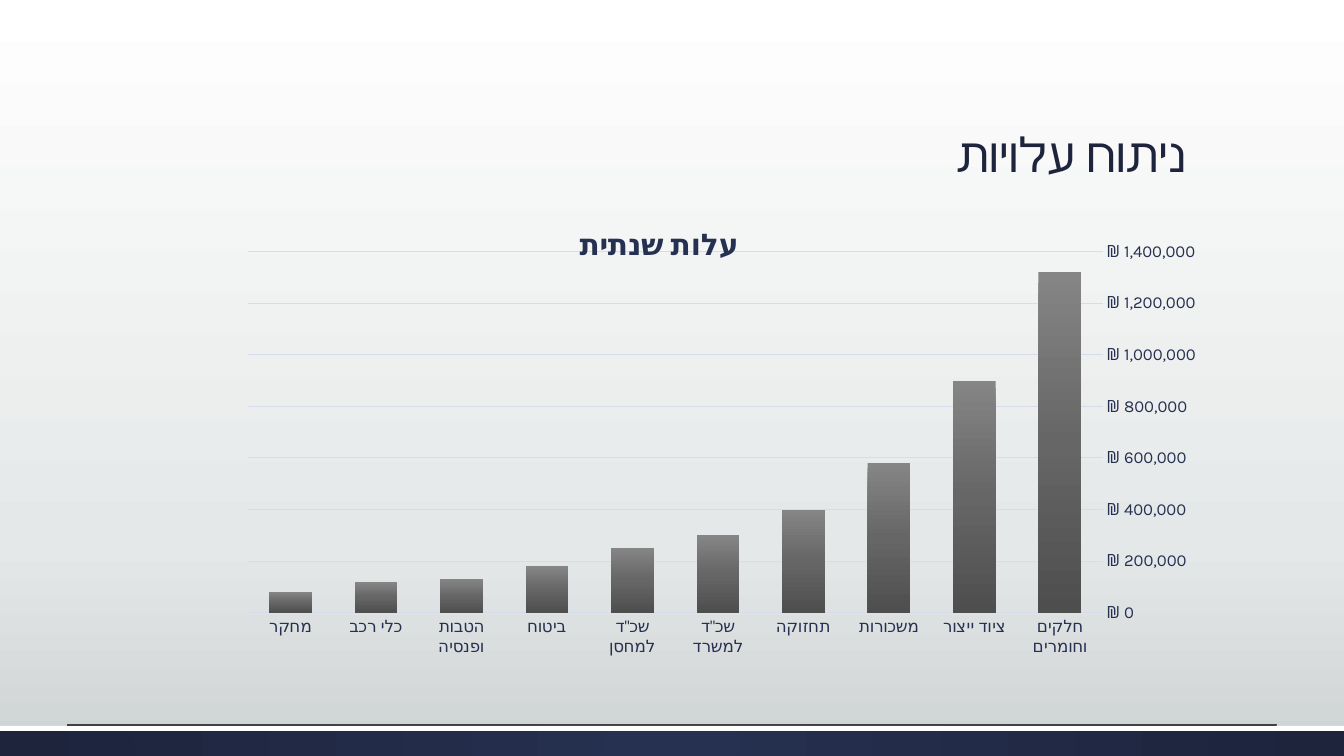
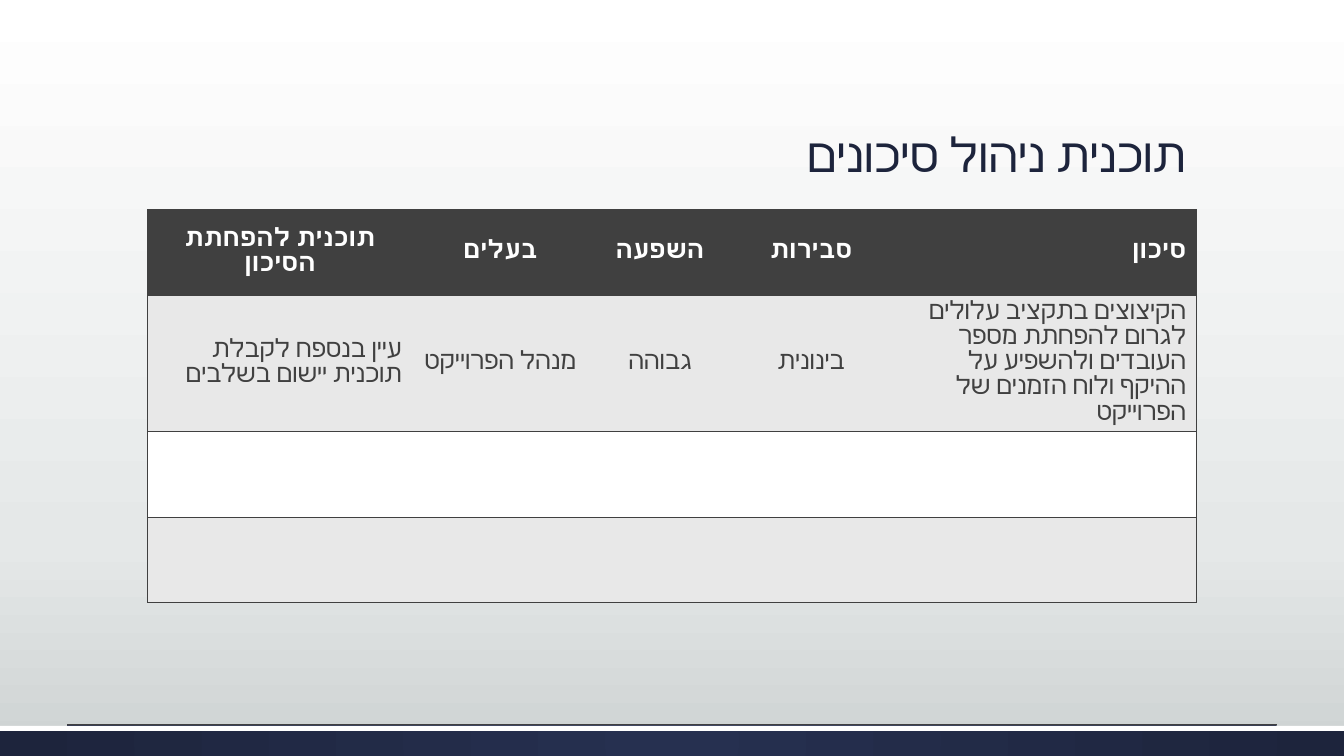
from dataclasses import dataclass

from lxml import etree
from pptx import Presentation
from pptx.chart.data import CategoryChartData
from pptx.dml.color import RGBColor
from pptx.enum.chart import XL_CHART_TYPE, XL_TICK_MARK
from pptx.enum.shapes import MSO_CONNECTOR, MSO_SHAPE
from pptx.enum.text import MSO_ANCHOR, PP_ALIGN
from pptx.oxml.ns import nsdecls, qn
from pptx.util import Inches, Pt

COLUMN_CHART = XL_CHART_TYPE.COLUMN_CLUSTERED
NO_TICK = XL_TICK_MARK.NONE
STRAIGHT = MSO_CONNECTOR.STRAIGHT
RECTANGLE = MSO_SHAPE.RECTANGLE
BOTTOM, MIDDLE = MSO_ANCHOR.BOTTOM, MSO_ANCHOR.MIDDLE
RIGHT, CENTER = PP_ALIGN.RIGHT, PP_ALIGN.CENTER

WIDTH, HEIGHT = 13.33, 7.5
CONTENT_LEFT, CONTENT_WIDTH = 0.11 * WIDTH, 0.78 * WIDTH
TITLE_TOP, TITLE_HEIGHT = 0.51, 1.35
CONTENT_TOP, CHART_HEIGHT = 2.08, 4.51
BAND_TOP = 0.96 * HEIGHT
ROW_HEIGHT, TALL_ROW_HEIGHT, ROW_COUNT = 0.85, 1.35, 4

FONT = "Karla"
NAVY, BLUE, PALE_BLUE = "1D243C", "263050", "D7DCEC"
GRAY, LIGHT_GRAY, WHITE = "404040", "E8E8E8", "FFFFFF"
BACKDROP = [(0, WHITE), (72, "E5E8E8"), (100, "CDD2D2")]
BAND = [(0, BLUE), (100, NAVY)]
BAR = [(0, "858585"), (50, "666666"), (100, "4E4E4E")]

TITLE_TEXT = {"size": Pt(34), "name": FONT, "bold": False}
CHART_TITLE_TEXT = {"size": Pt(21.3), "name": FONT, "bold": True}
AXIS_TEXT = {"size": Pt(12), "name": FONT, "bold": False}
HEADING_TEXT = {"size": Pt(18), "name": FONT, "bold": True}
ENTRY_TEXT = {"size": Pt(18), "name": FONT, "bold": False}


@dataclass(frozen=True)
class Cost:
    label: str
    amount: int


@dataclass(frozen=True)
class RiskColumn:
    width: float
    heading: str
    entry: str
    heading_align: PP_ALIGN = CENTER
    entry_align: PP_ALIGN = CENTER


COSTS = [
    Cost("חלקים וחומרים", 1320000),
    Cost("ציוד ייצור", 900000),
    Cost("משכורות", 580000),
    Cost("תחזוקה", 400000),
    Cost('שכ"ד למשרד', 300000),
    Cost('שכ"ד למחסן', 250000),
    Cost("ביטוח", 180000),
    Cost("הטבות ופנסיה", 130000),
    Cost("כלי רכב", 120000),
    Cost("מחקר", 80000),
]

RISK_COLUMNS = [
    RiskColumn(2.62, "תוכנית להפחתת הסיכון",
               "עיין בנספח לקבלת תוכנית יישום בשלבים", entry_align=RIGHT),
    RiskColumn(1.75, "בעלים", "מנהל הפרוייקט"),
    RiskColumn(1.42, "השפעה", "גבוהה"),
    RiskColumn(1.58, "סבירות", "בינונית"),
    RiskColumn(3.03, "סיכון",
               "הקיצוצים בתקציב עלולים לגרום להפחתת מספר העובדים "
               "ולהשפיע על ההיקף ולוח הזמנים של הפרוייקט", RIGHT, RIGHT),
]


def color(value: str) -> RGBColor:
    return RGBColor.from_string(value)


def style_font(font, settings: dict, ink: str) -> None:
    for name, value in settings.items():
        setattr(font, name, value)
    font.color.rgb = color(ink)
    script_font = etree.SubElement(font._element, qn("a:cs"))
    script_font.set("typeface", FONT)


def write_rtl(paragraph, text: str, align, settings: dict, ink: str) -> None:
    paragraph.alignment = align
    paragraph._p.get_or_add_pPr().set("rtl", "1")
    span = paragraph.add_run()
    span.text = text
    style_font(span.font, settings, ink)


def set_gradient(owner, stops: list, radial: bool = False) -> None:
    marks = "".join(
        f'<a:gs pos="{share * 1000}"><a:srgbClr val="{tone}"/></a:gs>'
        for share, tone in stops)
    direction = '<a:lin ang="5400000" scaled="0"/>'
    if radial:
        direction = ('<a:path path="circle"><a:fillToRect l="50000" t="50000" '
                     'r="50000" b="50000"/></a:path>')
    gradient = etree.fromstring(
        f'<a:gradFill {nsdecls("a")} rotWithShape="1">'
        f'<a:gsLst>{marks}</a:gsLst>{direction}</a:gradFill>')
    solid = next(owner.iter(qn("a:solidFill")))
    solid.getparent().replace(solid, gradient)


def add_band(page, top: float, height: float, tone: str):
    band = page.shapes.add_shape(RECTANGLE, 0, Inches(top), Inches(WIDTH), Inches(height))
    band.shadow.inherit = False
    band.fill.solid()
    band.fill.fore_color.rgb = color(tone)
    band.line.fill.background()
    return band


def add_page(deck, title: str):
    page = deck.slides.add_slide(deck.slide_layouts[6])
    page.background.fill.solid()
    page.background.fill.fore_color.rgb = color(WHITE)
    set_gradient(page._element, BACKDROP)

    band = add_band(page, BAND_TOP, HEIGHT - BAND_TOP, NAVY)
    set_gradient(band._element.spPr, BAND, radial=True)
    add_band(page, BAND_TOP, 0.05, WHITE)
    rule = page.shapes.add_connector(
        STRAIGHT, Inches(0.05 * WIDTH), Inches(BAND_TOP - 0.01),
        Inches(0.95 * WIDTH), Inches(BAND_TOP - 0.01))
    rule.line.color.rgb = color(GRAY)
    rule.line.width = Pt(0.75)
    etree.SubElement(rule._element.spPr, qn("a:effectLst"))

    box = page.shapes.add_textbox(Inches(CONTENT_LEFT), Inches(TITLE_TOP),
                                  Inches(CONTENT_WIDTH), Inches(TITLE_HEIGHT))
    frame = box.text_frame
    frame.word_wrap = True
    frame.vertical_anchor = BOTTOM
    para = frame.paragraphs[0]
    para.line_spacing = 0.9
    write_rtl(para, title, RIGHT, TITLE_TEXT, NAVY)
    return page


def set_layout(owner, position: int, percents: dict, inner: bool = False) -> None:
    for previous in owner.findall(qn("c:layout")):
        owner.remove(previous)
    layout = etree.Element(qn("c:layout"))
    manual = etree.SubElement(layout, qn("c:manualLayout"))
    values = {"layoutTarget": "inner"} if inner else {}
    values |= {"xMode": "edge", "yMode": "edge"}
    values |= {name: str(round(percent / 100, 4)) for name, percent in percents.items()}
    for name, value in values.items():
        etree.SubElement(manual, qn(f"c:{name}")).set("val", value)
    owner.insert(position, layout)


def style_axis(axis) -> None:
    axis.major_tick_mark = NO_TICK
    axis.minor_tick_mark = NO_TICK
    style_font(axis.tick_labels.font, AXIS_TEXT, BLUE)


def style_line(line) -> None:
    line.color.rgb = color(PALE_BLUE)
    line.width = Pt(0.75)


def add_cost_chart(page, name: str, costs: list) -> None:
    data = CategoryChartData()
    data.categories = [cost.label for cost in costs]
    data.add_series(name, [cost.amount for cost in costs])
    chart = page.shapes.add_chart(
        COLUMN_CHART, Inches(CONTENT_LEFT), Inches(CONTENT_TOP),
        Inches(CONTENT_WIDTH), Inches(CHART_HEIGHT), data).chart
    style_font(chart.font, {"size": Pt(10), "name": "Calibri"}, GRAY)
    chart.has_legend = False

    chart.has_title = True
    title = chart.chart_title
    write_rtl(title.text_frame.paragraphs[0], name, CENTER, CHART_TITLE_TEXT, BLUE)
    set_layout(title._element, 1, {"x": 41, "y": 2})
    set_layout(chart._chartSpace.chart.plotArea, 0,
               {"x": 9.6, "y": 9.2, "w": 82.1, "h": 79.5}, inner=True)

    plot = chart.plots[0]
    plot.gap_width = 100
    plot.overlap = -24
    plot.vary_by_categories = False
    series = plot.series[0]
    series.format.fill.solid()
    series.format.fill.fore_color.rgb = color(GRAY)
    set_gradient(series._element, BAR)

    categories, amounts = chart.category_axis, chart.value_axis
    for axis in (categories, amounts):
        style_axis(axis)
    categories.reverse_order = True
    style_line(categories.format.line)
    amounts.minimum_scale = 0
    amounts.maximum_scale = 1400000
    amounts.major_unit = 200000
    amounts.format.line.fill.background()
    style_line(amounts.major_gridlines.format.line)
    amounts.tick_labels.number_format = '"₪"\\ #,##0'
    amounts.tick_labels.number_format_is_linked = False


def set_borders(cell, visible: str) -> None:
    properties = cell._tc.get_or_add_tcPr()
    for position, side in enumerate("LRTB"):
        edge = etree.Element(qn(f"a:ln{side}"), w=str(Pt(1)))
        if side in visible:
            paint = etree.SubElement(edge, qn("a:solidFill"))
            etree.SubElement(paint, qn("a:srgbClr")).set("val", GRAY)
        else:
            etree.SubElement(edge, qn("a:noFill"))
        properties.insert(position, edge)


def write_cell(cell, text: str, align, settings: dict, ink: str) -> None:
    para = cell.text_frame.paragraphs[0]
    para.line_spacing = Pt(18)
    write_rtl(para, text, align, settings, ink)


def add_risk_table(page, columns: list) -> None:
    heights = [TALL_ROW_HEIGHT if row == 1 else ROW_HEIGHT for row in range(ROW_COUNT)]
    table = page.shapes.add_table(
        ROW_COUNT, len(columns), Inches(CONTENT_LEFT), Inches(CONTENT_TOP),
        Inches(CONTENT_WIDTH), Inches(sum(heights))).table
    table.first_row = False
    table.horz_banding = False
    for row, height in zip(table.rows, heights):
        row.height = Inches(height)
    fills = [GRAY, LIGHT_GRAY, WHITE, LIGHT_GRAY]
    for index, column in enumerate(columns):
        table.columns[index].width = Inches(column.width)
        sides = "TB"
        if index == 0:
            sides += "L"
        if index == len(columns) - 1:
            sides += "R"
        for row, tone in enumerate(fills):
            cell = table.cell(row, index)
            cell.vertical_anchor = MIDDLE
            cell.fill.solid()
            cell.fill.fore_color.rgb = color(tone)
            set_borders(cell, sides)
        write_cell(table.cell(0, index), column.heading, column.heading_align,
                   HEADING_TEXT, WHITE)
        write_cell(table.cell(1, index), column.entry, column.entry_align,
                   ENTRY_TEXT, GRAY)


def main() -> None:
    deck = Presentation()
    deck.slide_width, deck.slide_height = Inches(WIDTH), Inches(HEIGHT)
    add_cost_chart(add_page(deck, "ניתוח עלויות"), "עלות שנתית", COSTS)
    add_risk_table(add_page(deck, "תוכנית ניהול סיכונים"), RISK_COLUMNS)
    deck.save("out.pptx")


if __name__ == "__main__":
    main()
